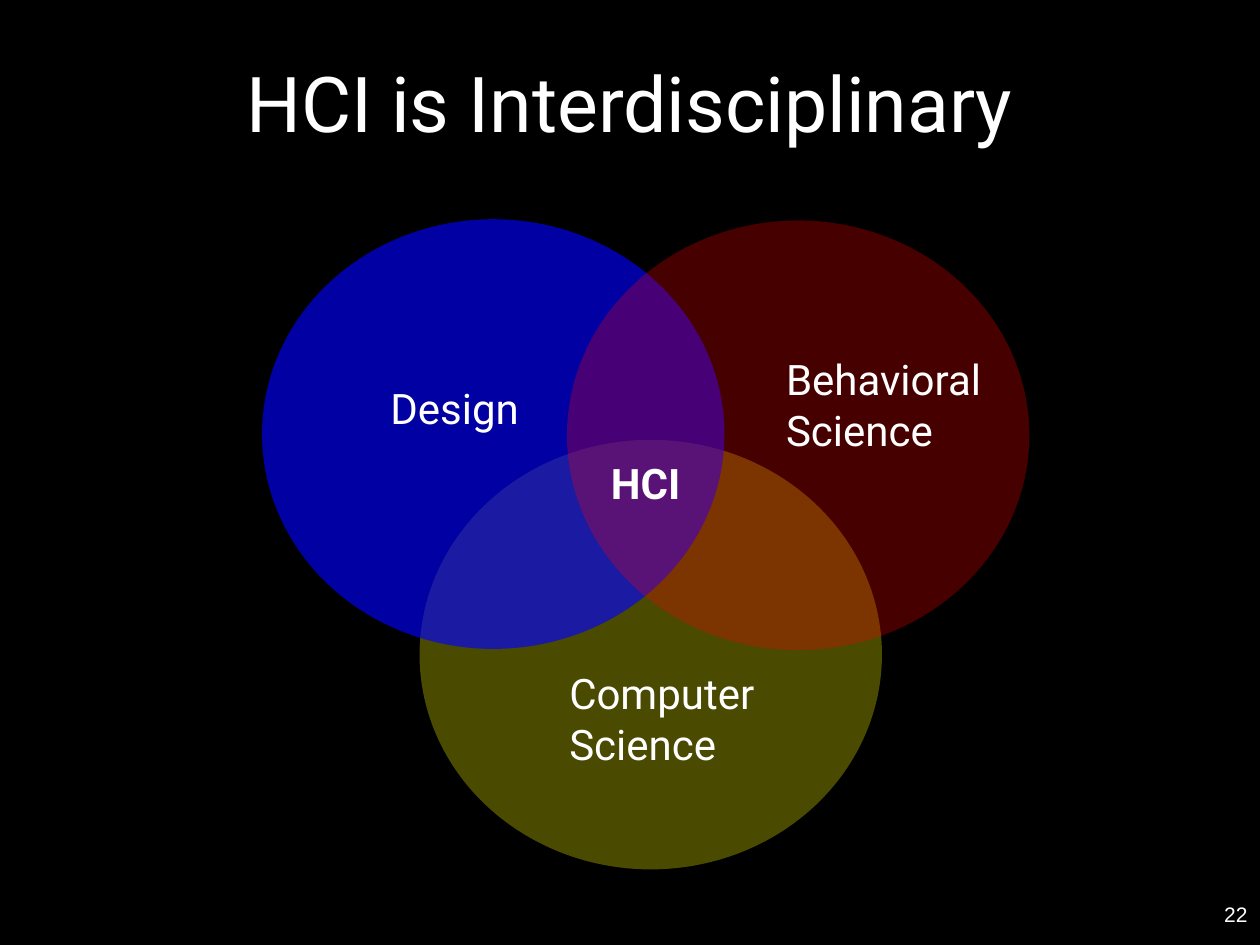
"""Build the slide showing HCI as the overlap of three disciplines."""
from lxml import etree
from pptx import Presentation
from pptx.dml.color import RGBColor
from pptx.enum.shapes import MSO_SHAPE
from pptx.enum.text import MSO_ANCHOR, MSO_AUTO_SIZE, PP_ALIGN
from pptx.oxml.ns import qn
from pptx.util import Pt

OVAL = MSO_SHAPE.OVAL
TOP, MIDDLE = MSO_ANCHOR.TOP, MSO_ANCHOR.MIDDLE
FIXED, GROW = MSO_AUTO_SIZE.NONE, MSO_AUTO_SIZE.SHAPE_TO_FIT_TEXT
LEFT, CENTER, RIGHT = PP_ALIGN.LEFT, PP_ALIGN.CENTER, PP_ALIGN.RIGHT

PX = 9144
THEME = {
    "background": "000000",
    "text": "FFFFFF",
    "computer science": "FFFF00",
    "design": "0000FF",
    "behavioral science": "FF0000",
    "title": {"name": "Roboto", "size": Pt(44)},
    "label": {"name": "Roboto", "size": Pt(24)},
    "center": {"name": "Roboto", "size": Pt(24), "bold": True},
    "number": {"name": "Arial", "size": Pt(12)},
}


def add_circle(slide, left, top, color, opacity):
    shape = slide.shapes.add_shape(OVAL, left * PX, top * PX, 367 * PX, 341 * PX)
    shape.shadow.inherit = False
    shape.line.fill.background()
    shape.fill.solid()
    shape.fill.fore_color.rgb = RGBColor.from_string(THEME[color])
    color_element = shape.fill._xPr.find(".//" + qn("a:srgbClr"))
    etree.SubElement(color_element, qn("a:alpha"), val=str(opacity * 1000))


def add_text(slide, text, box, style, alignment, frame_format):
    shape = slide.shapes.add_textbox(*(length * PX for length in box))
    for name, value in frame_format.items():
        setattr(shape.text_frame, name, value)
    paragraph = shape.text_frame.paragraphs[0]
    paragraph.text = text
    paragraph.alignment = alignment
    for run in paragraph.runs:
        run.font.color.rgb = RGBColor.from_string(THEME["text"])
        for name, value in THEME[style].items():
            setattr(run.font, name, value)


presentation = Presentation()
presentation.slide_width = 1000 * PX
presentation.slide_height = 750 * PX
slide = presentation.slides.add_slide(presentation.slide_layouts[6])
slide.background.fill.solid()
slide.background.fill.fore_color.rgb = RGBColor.from_string(THEME["background"])

fixed = {"word_wrap": True, "auto_size": FIXED, "vertical_anchor": MIDDLE}
wrapped = {"word_wrap": True, "auto_size": GROW, "vertical_anchor": TOP}
unwrapped = {**wrapped, "word_wrap": False}

add_text(slide, "HCI is Interdisciplinary", (75, 0, 850, 161), "title", CENTER, fixed)
add_text(slide, "22", (958, 708, 42, 35), "number", RIGHT, fixed)

circles = [
    (333, 349, "computer science", 29),
    (208, 174, "design", 64),
    (450, 175, "behavioral science", 28),
]
for left, top, color, opacity in circles:
    add_circle(slide, left, top, color, opacity)

labels = [
    ("Computer Science", (442, 525, 173, 91), "label", wrapped),
    ("Design", (300, 299, 125, 50), "label", unwrapped),
    ("Behavioral\nScience", (614, 276, 179, 91), "label", unwrapped),
    ("HCI", (475, 358, 100, 50), "center", wrapped),
]
for text, box, style, frame_format in labels:
    add_text(slide, text, box, style, LEFT, frame_format)

presentation.save("out.pptx")
